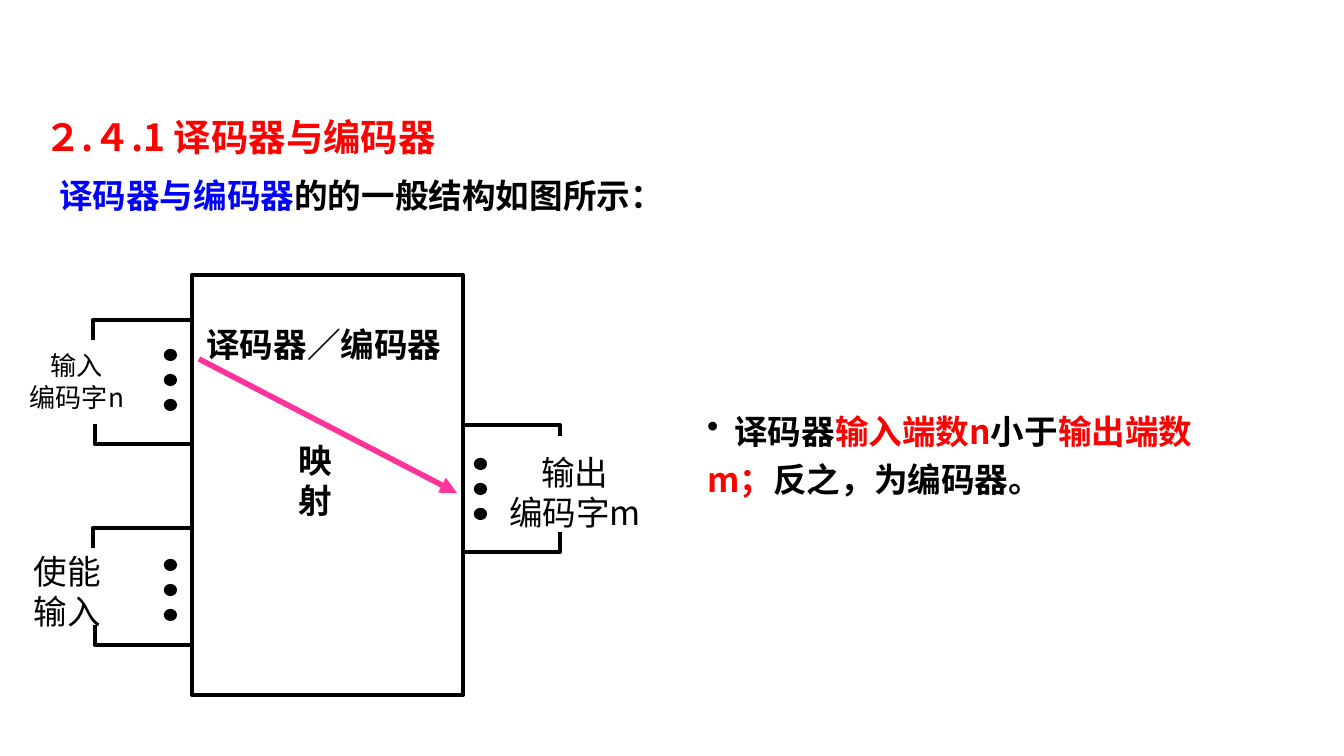
from lxml import etree
from pptx import Presentation
from pptx.dml.color import RGBColor
from pptx.enum.shapes import MSO_CONNECTOR, MSO_SHAPE
from pptx.enum.text import PP_ALIGN
from pptx.oxml.ns import qn
from pptx.util import Pt

PX = 914400 / 134.4
FONT = "Noto Sans CJK JP"
LEFT, CENTER = PP_ALIGN.LEFT, PP_ALIGN.CENTER
COLORS = {"black": "000000", "white": "FFFFFF", "red": "FF0000",
          "blue": "0000FF", "pink": "FF3399"}

# Content: each paragraph is a list of (text, colour) runs
HEADING = [("２.４.1 译码器与编码器", "red")]
INTRO = [("译码器与编码器", "blue"), ("的的一般结构如图所示：", "black")]
RULE = [("\t译码器", "black"), ("输入端数n", "red"), ("小于", "black"),
        ("输出端数m；", "red"), ("反之，为编码器。", "black")]

# Diagram labels: box (left, top, width, height), lines, size, bold
SIGNAL_LABELS = [
    ((9, 343, 136, 77), ["输入", "编码字n"], 14, False),
    ((-7, 544, 149, 94), ["使能", "输入"], 18, False),
    ((487, 445, 176, 95), ["输出", "编码字m"], 18, False),
]
BLOCK_LABELS = [
    ((156, 317, 336, 54), ["译码器／编码器"], 18, True),
    ((274, 433, 82, 94), ["映射"], 18, True),
]

# Diagram geometry
BLOCK = (192, 275, 271, 420)
HOOKS = [  # block end x, outer x, y, signed tick length
    (190, 93, 320, 20), (191, 95, 444, -20),
    (190, 93, 528, 20), (191, 95, 645, -20),
    (464, 560, 425, 11), (464, 560, 552, -20),
]
DOT_COLUMNS = [(166, 351), (166, 561), (476, 460)]
DOT_SIZE, DOT_PITCH, DOT_COUNT = (9, 8), 25, 3
MAPPING_ARROW = (199, 359, 457, 493)


def px(*lengths):
    return [round(length * PX) for length in lengths]


def color(name):
    return RGBColor.from_string(COLORS[name])


def set_line(shape, name, width):
    shape.line.color.rgb = color(name)
    shape.line.width = Pt(width)


def add_block(preset, box, fill):
    shape = slide.shapes.add_shape(preset, *px(*box))
    shape.shadow.inherit = False
    shape.fill.solid()
    shape.fill.fore_color.rgb = color(fill)
    set_line(shape, "black", 2.25)


def add_text_box(box):
    text_frame = slide.shapes.add_textbox(*px(*box)).text_frame
    text_frame.word_wrap = True
    return text_frame


def fill_paragraph(paragraph, runs, size, bold, align=LEFT, spacing=None):
    paragraph.alignment = align
    if spacing:
        paragraph.line_spacing = spacing
    for text, name in runs:
        run = paragraph.add_run()
        run.text = text
        font = run.font
        font.size, font.bold, font.name = Pt(size), bold, FONT
        font.color.rgb = color(name)
        east_asian = etree.SubElement(run._r.get_or_add_rPr(), qn("a:ea"))
        east_asian.set("typeface", FONT)


def add_label(box, lines, size, bold):
    text_frame = add_text_box(box)
    text_frame.text = "\n".join([""] * len(lines))
    for paragraph, line in zip(text_frame.paragraphs, lines):
        fill_paragraph(paragraph, [(line, "black")], size, bold, CENTER)


presentation = Presentation()
presentation.slide_width, presentation.slide_height = px(1344, 756)
slide = presentation.slides.add_slide(presentation.slide_layouts[6])

# Heading and introduction
title_frame = add_text_box((31, 94, 1153, 142))
fill_paragraph(title_frame.paragraphs[0], HEADING, 20, True, spacing=1.3)
intro = title_frame.add_paragraph()
intro.space_before = Pt(2)
intro._p.get_or_add_pPr().set("marL", str(px(15)[0]))
fill_paragraph(intro, INTRO, 18, True, spacing=1.3)

# Bulleted rule: the wrapped line returns to the bullet's edge
rule = add_text_box((694, 396, 560, 110)).paragraphs[0]
properties = rule._p.get_or_add_pPr()
properties.set("marL", "0")
properties.set("indent", "0")
etree.SubElement(properties, qn("a:buChar")).set("char", "•")
tabs = etree.SubElement(properties, qn("a:tabLst"))
tab = etree.SubElement(tabs, qn("a:tab"))
tab.set("pos", str(px(27)[0]))
tab.set("algn", "l")
fill_paragraph(rule, RULE, 18, True, spacing=1.2)

# Signal bundles: hooked outer wires, labels and dots
for block_x, outer_x, y, tick in HOOKS:
    builder = slide.shapes.build_freeform(block_x, y, scale=PX)
    builder.add_line_segments([(outer_x, y), (outer_x, y + tick)], close=False)
    hook = builder.convert_to_shape()
    hook.shadow.inherit = False
    hook.fill.background()
    set_line(hook, "black", 2.25)

for label in SIGNAL_LABELS:
    add_label(*label)

for x, y in DOT_COLUMNS:
    for index in range(DOT_COUNT):
        add_block(MSO_SHAPE.OVAL, (x, y + index * DOT_PITCH, *DOT_SIZE), "black")

# Decoder/encoder block with its mapping arrow
add_block(MSO_SHAPE.RECTANGLE, BLOCK, "white")
arrow = slide.shapes.add_connector(MSO_CONNECTOR.STRAIGHT, *px(*MAPPING_ARROW))
set_line(arrow, "pink", 3)
etree.SubElement(arrow.line._get_or_add_ln(), qn("a:tailEnd")).set("type", "triangle")
etree.SubElement(arrow._element.spPr, qn("a:effectLst"))
for label in BLOCK_LABELS:
    add_label(*label)

presentation.save("out.pptx")
